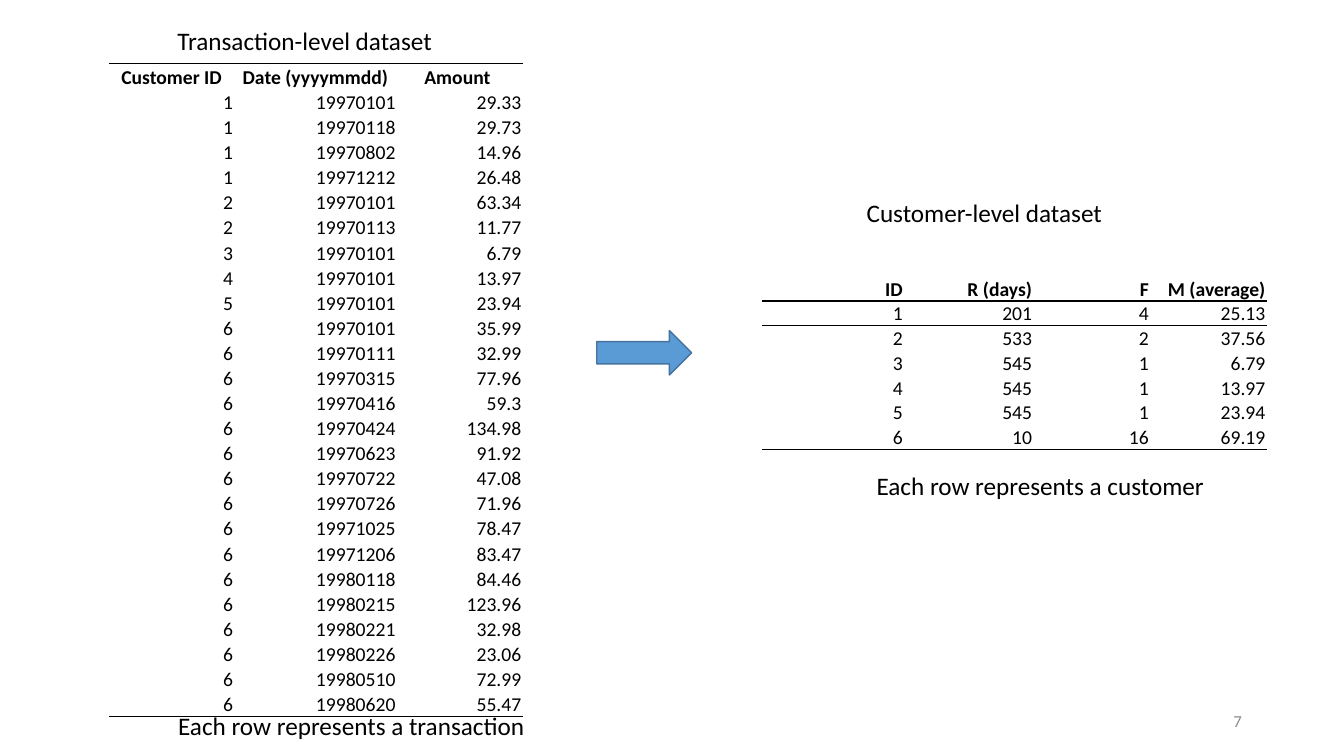
from lxml.etree import SubElement
from pptx import Presentation
from pptx.dml.color import RGBColor
from pptx.enum.shapes import MSO_SHAPE
from pptx.enum.text import MSO_ANCHOR, MSO_AUTO_SIZE, PP_ALIGN
from pptx.oxml.ns import qn
from pptx.util import Cm, Pt

COLOURS = {"ink": "000000", "number": "8C8C8C", "arrow": "5B9BD5", "arrow_edge": "43739E"}
PLAIN_TABLE_STYLE = "{2D5ABB26-0587-4C30-8999-92F81FD0307C}"
CELL_FORMAT = {
    "margin_left": Cm(0.03),
    "margin_right": Cm(0.03),
    "margin_top": Cm(0.03),
    "margin_bottom": Cm(0),
    "vertical_anchor": MSO_ANCHOR.BOTTOM,
}

TRANSACTIONS = {
    "1": "19970101 29.33 19970118 29.73 19970802 14.96 19971212 26.48",
    "2": "19970101 63.34 19970113 11.77",
    "3": "19970101 6.79",
    "4": "19970101 13.97",
    "5": "19970101 23.94",
    "6": "19970101 35.99 19970111 32.99 19970315 77.96 19970416 59.3 "
         "19970424 134.98 19970623 91.92 19970722 47.08 19970726 71.96 "
         "19971025 78.47 19971206 83.47 19980118 84.46 19980215 123.96 "
         "19980221 32.98 19980226 23.06 19980510 72.99 19980620 55.47",
}
CUSTOMERS = [
    ("ID", "R (days)", "F", "M (average)"),
    ("1", "201", "4", "25.13"),
    ("2", "533", "2", "37.56"),
    ("3", "545", "1", "6.79"),
    ("4", "545", "1", "13.97"),
    ("5", "545", "1", "23.94"),
    ("6", "10", "16", "69.19"),
]


def colour(name):
    return RGBColor.from_string(COLOURS[name])


def transaction_rows():
    rows = [("Customer ID", "Date (yyyymmdd)", "Amount ")]
    for customer, purchases in TRANSACTIONS.items():
        values = purchases.split()
        rows += [(customer, date, amount) for date, amount in zip(values[::2], values[1::2])]
    return rows


def write(para, text, size, ink="ink", bold=False, align=PP_ALIGN.LEFT):
    para.alignment = align
    span = para.add_run()
    span.text = text
    font_format = {"name": "Calibri", "size": Pt(size), "bold": bold}
    for name, value in font_format.items():
        setattr(span.font, name, value)
    span.font.color.rgb = colour(ink)


def add_label(page, box, text, size=18, wrap=False, **text_format):
    frame = page.shapes.add_textbox(*map(Cm, box)).text_frame
    frame.word_wrap = wrap
    if wrap:
        frame.vertical_anchor = MSO_ANCHOR.MIDDLE
    else:
        frame.auto_size = MSO_AUTO_SIZE.SHAPE_TO_FIT_TEXT
    write(frame.paragraphs[0], text, size, **text_format)


def add_border(cell, side):
    """Rule one side of a cell; side is lnT (top) or lnB (bottom)."""
    line = SubElement(cell._tc.get_or_add_tcPr(), qn(f"a:{side}"), w=str(Pt(1)))
    fill = SubElement(line, qn("a:solidFill"))
    SubElement(fill, qn("a:srgbClr"), val=COLOURS["ink"])


def add_dataset(page, box, rows, widths, rules, header_align, title, caption):
    """Table in the box, with title and caption given as (text, dx, dy, width).

    The offsets run from the top left of the box; rules maps a row to a side.
    """
    left, top, width, height = box
    table_frame = page.shapes.add_table(len(rows), len(widths), *map(Cm, box))
    table = table_frame.table
    table._tbl.tblPr.find(qn("a:tableStyleId")).text = PLAIN_TABLE_STYLE
    table.first_row = table.horz_banding = False
    for column, column_width in zip(table.columns, widths):
        column.width = Cm(column_width)
    for row_index, row in enumerate(rows):
        header = row_index == 0
        for column_index, text in enumerate(row):
            cell = table.cell(row_index, column_index)
            for name, value in CELL_FORMAT.items():
                setattr(cell, name, value)
            if row_index in rules:
                add_border(cell, rules[row_index])
            cell.fill.background()
            write(cell.text_frame.paragraphs[0], text, 14, bold=header,
                  align=header_align if header else PP_ALIGN.RIGHT)
    for text, dx, dy, label_width in (title, caption):
        add_label(page, (left + dx, top + dy, label_width, 1.03), text)
    return table


def add_arrow(page, box):
    arrow = page.shapes.add_shape(MSO_SHAPE.RIGHT_ARROW, *map(Cm, box))
    arrow.shadow.inherit = False
    arrow.fill.solid()
    arrow.fill.fore_color.rgb = colour("arrow")
    arrow.line.color.rgb = colour("arrow_edge")
    arrow.line.width = Pt(1)


def main():
    deck = Presentation()
    deck.slide_width, deck.slide_height = Cm(33.87), Cm(19.05)
    page = deck.slides.add_slide(deck.slide_layouts[6])

    transactions = add_dataset(
        page, (2.75, 1.6, 10.42, 16.08), transaction_rows(), (3.15, 4.1, 3.17),
        {0: "lnT", 25: "lnB"}, PP_ALIGN.CENTER,
        ("Transaction-level dataset", 1.47, -1.09, 6.98),
        ("Each row represents a transaction", 1.49, 16.18, 9.35))
    transactions.rows[0].height = Cm(0.66)
    add_dataset(
        page, (19.2, 6.96, 12.76, 4.34), CUSTOMERS, (3.58, 3.26, 2.94, 2.94),
        {0: "lnB", 1: "lnB", 6: "lnB"}, PP_ALIGN.RIGHT,
        ("Customer-level dataset", 2.39, -2.11, 6.48),
        ("Each row represents a customer", 2.64, 4.77, 8.86))
    add_arrow(page, (15.04, 8.33, 2.39, 1.12))
    add_label(page, (23.93, 17.66, 7.62, 1.01), "7", size=12, wrap=True,
              ink="number", align=PP_ALIGN.RIGHT)
    deck.save("out.pptx")


if __name__ == "__main__":
    main()
